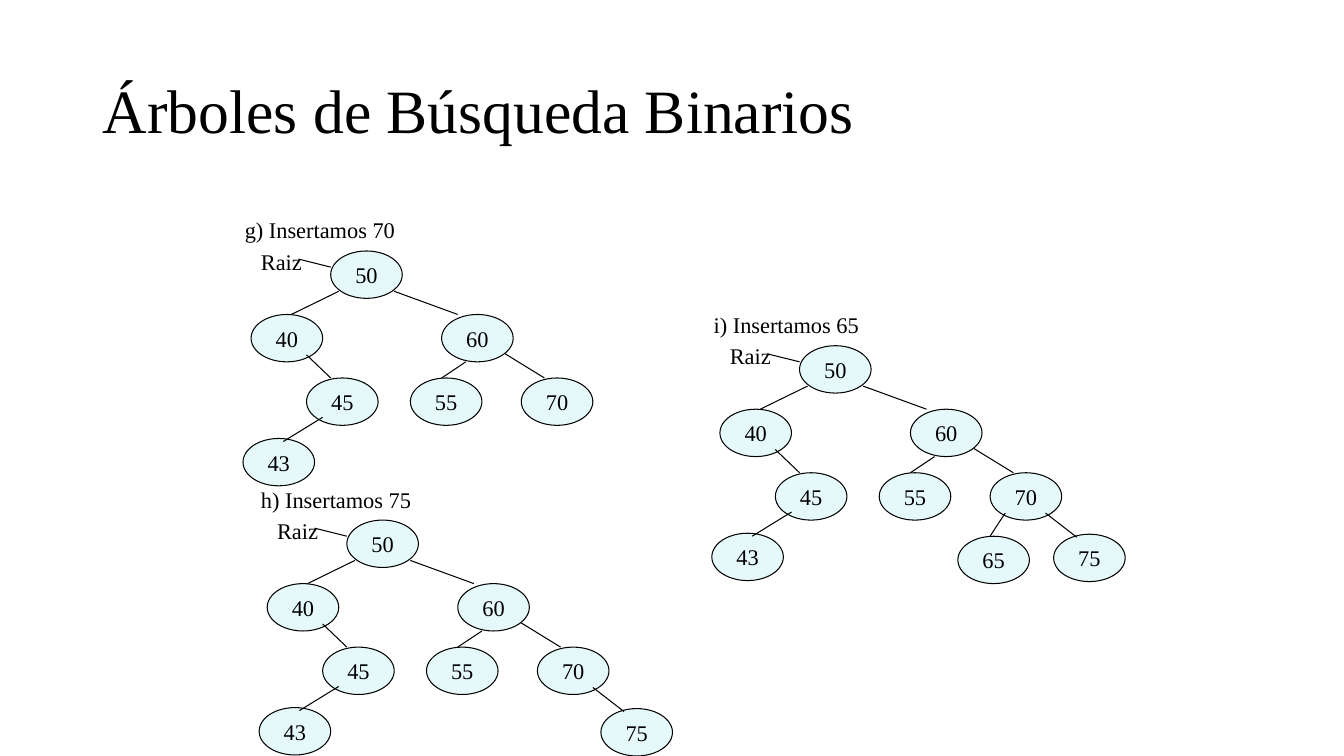
import pptx
import pptx.dml.color
import pptx.enum.shapes
import pptx.enum.text
import pptx.oxml.ns
import pptx.util
from lxml import etree
from pptx.util import Inches

COLORS = {"text": "000000", "line": "000000", "node": "E6F9FA"}
FONT = "Times New Roman"
NODE_W, NODE_H = 0.71, 0.47

NODES = {
    50: (0.95, 0.39),
    40: (0.16, 1.02),
    60: (2.05, 1.02),
    45: (0.71, 1.65),
    55: (1.74, 1.65),
    70: (2.84, 1.65),
    43: (0.08, 2.25),
    65: (2.52, 2.28),
    75: (3.47, 2.26),
}
EDGES = {
    50: (0.63, 0.47, 0.95, 0.55),
    40: (1.03, 0.79, 0.56, 1.02),
    60: (1.58, 0.79, 2.21, 1.02),
    45: (0.71, 1.42, 0.95, 1.65),
    55: (2.29, 1.49, 2.05, 1.65),
    70: (2.68, 1.41, 3.07, 1.65),
    43: (0.87, 2.04, 0.48, 2.28),
    65: (2.99, 2.05, 2.84, 2.28),
    75: (3.39, 2.05, 3.70, 2.29),
}
BASE = [50, 40, 60, 45, 55, 70, 43]
TREES = [
    ("g) Insertamos 70", 2.33, 2.10, BASE),
    ("h) Insertamos 75", 2.49, 4.77, BASE + [75]),
    ("i) Insertamos 65", 6.98, 3.04, BASE + [75, 65]),
]


def rgb(name):
    """Return the named colour."""
    return pptx.dml.color.RGBColor.from_string(COLORS[name])


def add_run(p, text, size):
    """Add one formatted run to a paragraph."""
    r = p.add_run()
    r.text = text
    r.font.size = pptx.util.Pt(size)
    r.font.name = FONT
    r.font.color.rgb = rgb("text")


def style_line(line):
    """Apply the thin outline used by nodes and edges."""
    line.color.rgb = rgb("line")
    line.width = pptx.util.Pt(0.75)


def add_title(s, text, x, y, w, h):
    """Fill and place the title placeholder."""
    sp = s.shapes.title
    sp.left, sp.top, sp.width, sp.height = map(Inches, (x, y, w, h))
    tf = sp.text_frame
    tf.word_wrap = True
    tf.vertical_anchor = pptx.enum.text.MSO_ANCHOR.MIDDLE
    p = tf.paragraphs[0]
    p.alignment = pptx.enum.text.PP_ALIGN.LEFT
    p.line_spacing = 0.9
    add_run(p, text, 44)


def add_label(s, text, x, y, w):
    """Add a one-line label."""
    sp = s.shapes.add_textbox(Inches(x), Inches(y), Inches(w), Inches(0.37))
    tf = sp.text_frame
    tf.word_wrap = True
    tf.auto_size = pptx.enum.text.MSO_AUTO_SIZE.SHAPE_TO_FIT_TEXT
    add_run(tf.paragraphs[0], text, 16)


def add_node(s, key, x, y):
    """Add a tree node with its key."""
    sp = s.shapes.add_shape(pptx.enum.shapes.MSO_SHAPE.OVAL, Inches(x), Inches(y),
                            Inches(NODE_W), Inches(NODE_H))
    sp.shadow.inherit = False
    sp.fill.solid()
    sp.fill.fore_color.rgb = rgb("node")
    style_line(sp.line)
    tf = sp.text_frame
    tf.word_wrap = False
    tf.vertical_anchor = pptx.enum.text.MSO_ANCHOR.MIDDLE
    p = tf.paragraphs[0]
    p.alignment = pptx.enum.text.PP_ALIGN.CENTER
    add_run(p, str(key), 16)


def add_edge(s, x1, y1, x2, y2):
    """Add a straight line between two points."""
    sp = s.shapes.add_connector(pptx.enum.shapes.MSO_CONNECTOR.STRAIGHT,
                                Inches(x1), Inches(y1), Inches(x2), Inches(y2))
    style_line(sp.line)
    etree.SubElement(sp._element.spPr, pptx.oxml.ns.qn("a:effectLst"))


def add_tree(s, caption, x, y, keys):
    """Draw a captioned search tree with its top left corner at x, y."""
    add_label(s, caption, x, y, 1.73)
    add_label(s, "Raiz", x + 0.16, y + 0.31, 0.63)
    for key in keys:
        dx, dy = NODES[key]
        add_node(s, key, x + dx, y + dy)
    for key in keys:
        x1, y1, x2, y2 = EDGES[key]
        add_edge(s, x + x1, y + y1, x + x2, y + y2)


def main():
    """Build the slide and save it."""
    prs = pptx.Presentation()
    prs.slide_width, prs.slide_height = Inches(13.33), Inches(7.5)
    s = prs.slides.add_slide(prs.slide_layouts[5])
    add_title(s, "Árboles de Búsqueda Binarios", 0.92, 0.4, 11.5, 1.45)
    for tree in TREES:
        add_tree(s, *tree)
    prs.save("out.pptx")


if __name__ == "__main__":
    main()
